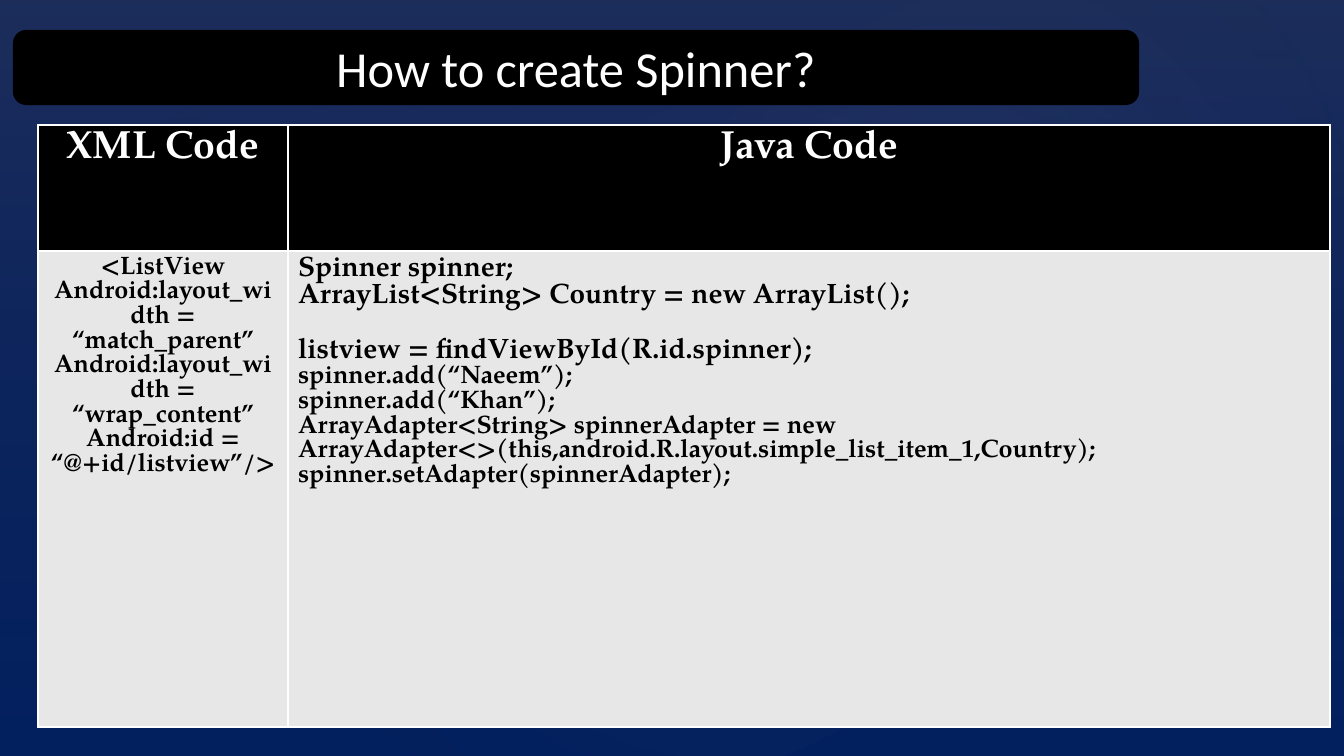
from lxml.etree import SubElement as Sub
from pptx import Presentation
from pptx.dml.color import RGBColor as Rgb
from pptx.enum.shapes import MSO_SHAPE as Kind
from pptx.enum.text import MSO_ANCHOR as Anchor, PP_ALIGN as Align
from pptx.oxml.ns import qn
from pptx.util import Pt

PX = 914400 / 100.8
HUES = {"navy": "002060", "plum": "504652", "ink": "242852", "glow": "C4BCC6",
        "black": "000000", "white": "FFFFFF", "grey": "E7E7E7"}
SERIF, SANS = "TeX Gyre Pagella", "Calibri"


def px(num):
    return round(num * PX)


def hue(name):
    return Rgb.from_string(HUES[name])


class Deck:
    """Holds the style and the current slide."""

    def __init__(self, wide, high):
        self.prs = Presentation()
        self.prs.slide_width, self.prs.slide_height = px(wide), px(high)
        self.slide = self.prs.slides.add_slide(self.prs.slide_layouts[6])

    def back(self, name):
        fill = self.slide.background.fill
        fill.solid()
        fill.fore_color.rgb = hue(name)

    def shape(self, kind, box):
        item = self.slide.shapes.add_shape(kind, *map(px, box))
        item.shadow.inherit = False
        return item

    def fade(self, kind, box, stops, turn=0, round_=False):
        item = self.shape(kind, box)
        item.rotation = turn
        item.line.fill.background()
        item.fill.background()
        old = item._element.spPr.find(qn("a:noFill"))
        grad = old.makeelement(qn("a:gradFill"), {"rotWithShape": "1"})
        old.getparent().replace(old, grad)
        group = Sub(grad, qn("a:gsLst"))
        for pos, name, alpha in stops:
            stop = Sub(group, qn("a:gs"), pos=str(pos * 1000))
            tint = Sub(stop, qn("a:srgbClr"), val=HUES[name])
            Sub(tint, qn("a:alpha"), val=str(alpha * 1000))
        if round_:
            ring = Sub(grad, qn("a:path"), {"path": "circle"})
            Sub(ring, qn("a:fillToRect"), dict.fromkeys("ltrb", "50000"))
        else:
            Sub(grad, qn("a:lin"), ang="5400000", scaled="0")

    def text(self, para, words, size, font, name, bold, align):
        para.alignment = align
        run = para.add_run()
        run.text = words
        run.font.size, run.font.name, run.font.bold = Pt(size), font, bold
        run.font.color.rgb = hue(name)

    def title(self, box, words):
        item = self.shape(Kind.ROUNDED_RECTANGLE, box)
        item.fill.solid()
        item.fill.fore_color.rgb = hue("black")
        item.line.color.rgb = hue("black")
        item.line.width = Pt(1.5)
        frame = item.text_frame
        frame.word_wrap = True
        frame.vertical_anchor = Anchor.MIDDLE
        self.text(frame.paragraphs[0], words, 36, SANS, "white", False, Align.CENTER)

    def cell(self, cell, lines, name, fill, align):
        props = cell._tc.get_or_add_tcPr()
        for side in ("lnL", "lnR", "lnT", "lnB"):
            edge = Sub(props, qn("a:" + side), w="12700")
            Sub(Sub(edge, qn("a:solidFill")), qn("a:srgbClr"), val=HUES["white"])
        cell.fill.solid()
        cell.fill.fore_color.rgb = hue(fill)
        frame = cell.text_frame
        for num, (words, size, gap) in enumerate(lines):
            para = frame.add_paragraph() if num else frame.paragraphs[0]
            para.space_before = Pt(gap)
            self.text(para, words, size, SERIF, name, True, align)

    def table(self, box, cols, rows, heads, codes):
        grid = self.slide.shapes.add_table(len(rows), len(cols), *map(px, box)).table
        for col, wide in zip(grid.columns, cols):
            col.width = px(wide)
        for row, high in zip(grid.rows, rows):
            row.height = px(high)
        for num, head in enumerate(heads):
            self.cell(grid.cell(0, num), [(head, 28, 0)], "white", "black", Align.CENTER)
        for num, (lines, align) in enumerate(codes):
            self.cell(grid.cell(1, num), lines, "black", "grey", align)


XML = [(words, 18, 0) for words in (
    "<ListView",
    "Android:layout_width = “match_parent”",
    "Android:layout_width = “wrap_content”",
    "Android:id = “@+id/listview”/>")]
JAVA = [
    ("Spinner spinner;", 20, 0),
    ("ArrayList<String> Country = new ArrayList();", 20, 0),
    ("listview = findViewById(R.id.spinner);", 20, 19.6),
    ("spinner.add(“Naeem”);", 18, 0),
    ("spinner.add(“Khan”);", 18, 0),
    ("ArrayAdapter<String> spinnerAdapter = new "
     "ArrayAdapter<>(this,android.R.layout.simple_list_item_1,Country);", 18, 0),
    ("spinner.setAdapter(spinnerAdapter);", 18, 0)]
GLOWS = [((202, 115, 1064, 629), 328.7, 7),
         ((61, 46, 611, 658), 294.3, 8),
         ((482, 13, 953, 524), 328.7, 8)]


def main():
    deck = Deck(1344, 756)
    deck.back("navy")
    deck.fade(Kind.RECTANGLE, (0, 0, 1344, 756), [(0, "plum", 36), (100, "ink", 10)])
    for box, turn, alpha in GLOWS:
        deck.fade(Kind.OVAL, box, [(0, "glow", alpha), (58, "ink", 0)], turn, True)
    deck.title((14, 31, 1124, 73), "How to create Spinner?")
    deck.table((38, 125, 1292, 602), (250, 1042), (126, 476),
               ("XML Code", "Java Code"),
               ((XML, Align.CENTER), (JAVA, Align.LEFT)))
    deck.prs.save("out.pptx")


if __name__ == "__main__":
    main()
